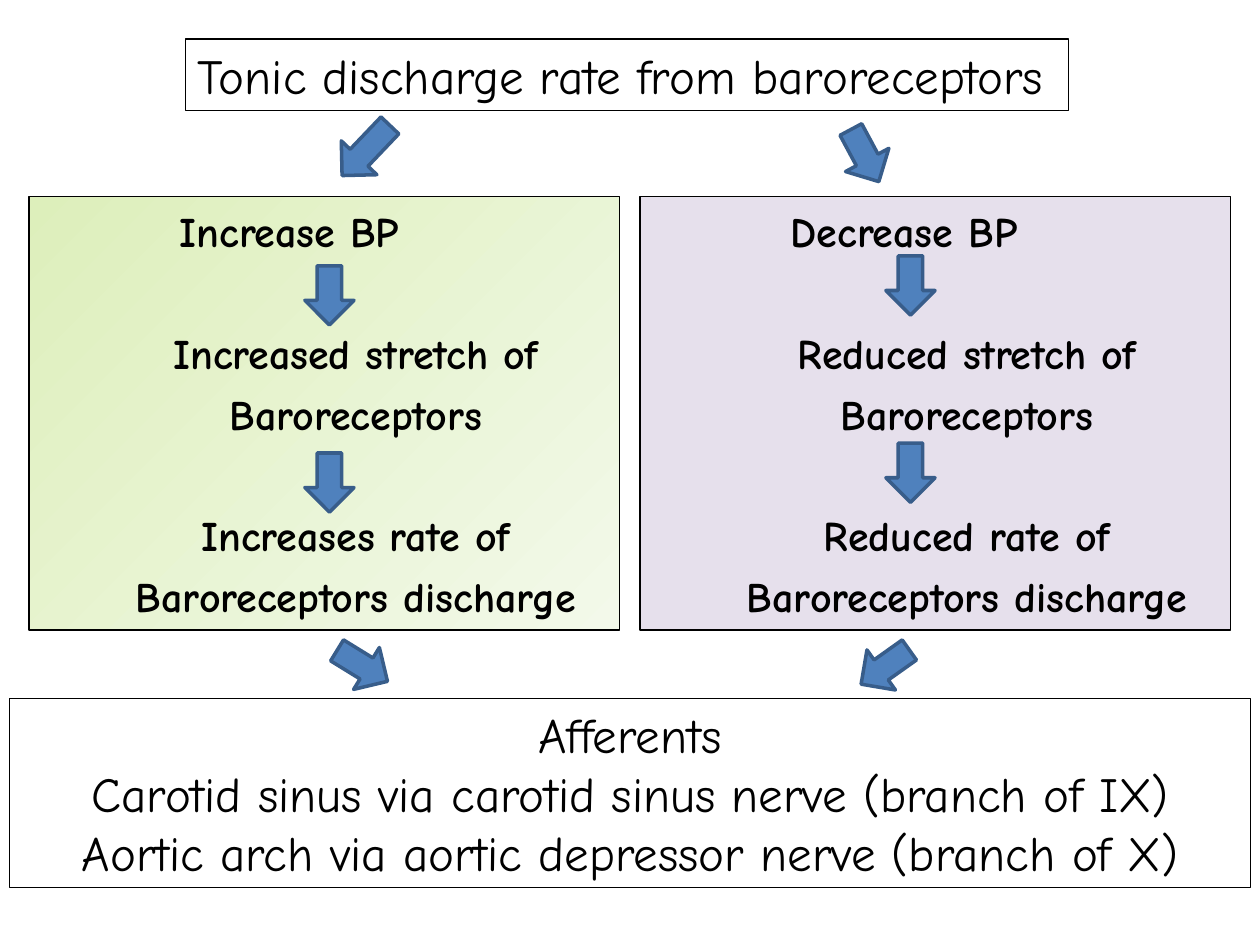
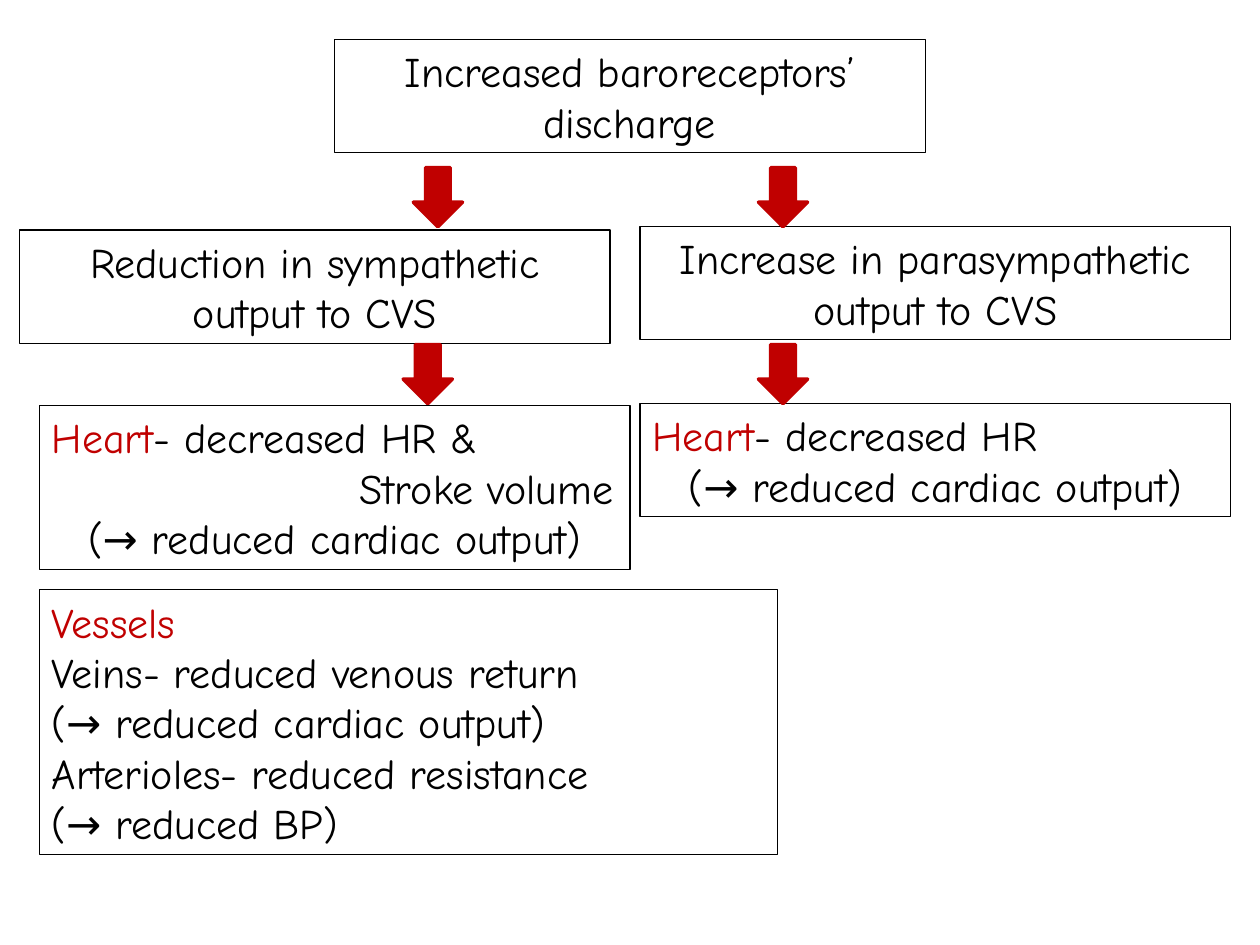
from dataclasses import dataclass

from pptx import Presentation
from pptx.dml.color import RGBColor
from pptx.enum.shapes import MSO_SHAPE
from pptx.enum.text import MSO_ANCHOR, MSO_AUTO_SIZE, PP_ALIGN
from pptx.util import Pt


@dataclass(frozen=True)
class Theme:
    """Colours, font, type sizes and repeated lengths in points."""
    font: str = "Comic Neue"
    large: float = 28
    normal: float = 24
    ink: str = "000000"
    white: str = "FFFFFF"
    red: str = "C00000"
    blue: str = "4F81BD"
    blue_edge: str = "385D8A"
    lilac: str = "E6E0EC"
    greens: tuple = ("DDEFBB", "F3F9EA")
    thin: float = 0.75
    thick: float = 2
    inset_x: float = 7.2
    inset_y: float = 3.6
    line_height: float = 1.2
    box_width: float = 337.5
    right_column: float = 365.8
    arrow_width: float = 28.1
    arrow_height: float = 33.8


THEME = Theme()
LEFT, CENTER = PP_ALIGN.LEFT, PP_ALIGN.CENTER


def set_values(target, values):
    """Set every attribute named in a dict of format values."""
    for name, value in values.items():
        setattr(target, name, value)


def place(shape, left, top, width, height):
    """Move and size a shape, in points."""
    set_values(shape, {"left": Pt(left), "top": Pt(top),
                       "width": Pt(width), "height": Pt(height)})


def paint(shape, fill, edge, thickness):
    """Fill a shape with one colour, a pair of gradient colours or nothing, and outline it."""
    if fill is None:
        shape.fill.background()
    elif isinstance(fill, tuple):
        shape.fill.gradient()
        shape.fill.gradient_angle = 315
        for stop, colour in zip(shape.fill.gradient_stops, fill):
            stop.color.rgb = RGBColor.from_string(colour)
    else:
        shape.fill.solid()
        shape.fill.fore_color.rgb = RGBColor.from_string(fill)
    shape.line.color.rgb = RGBColor.from_string(edge)
    shape.line.width = Pt(thickness)


def line(text, lead="", align=LEFT, indent=0, before=0):
    """Describe one paragraph; lead is its opening words in red."""
    return {"runs": [(lead, THEME.red), (text, THEME.ink)], "align": align,
            "indent": indent, "before": before}


def write(shape, lines, size, bold=False):
    """Write paragraphs into the text frame of a shape."""
    frame = shape.text_frame
    set_values(frame, {
        "word_wrap": True, "auto_size": MSO_AUTO_SIZE.NONE,
        "vertical_anchor": MSO_ANCHOR.MIDDLE,
        "margin_left": Pt(THEME.inset_x), "margin_right": Pt(THEME.inset_x),
        "margin_top": Pt(THEME.inset_y), "margin_bottom": Pt(THEME.inset_y)})
    for index, content in enumerate(lines):
        paragraph = frame.add_paragraph() if index else frame.paragraphs[0]
        set_values(paragraph, {"alignment": content["align"],
                               "space_before": Pt(content["before"])})
        properties = paragraph._p.get_or_add_pPr()
        properties.set("marL", str(Pt(content["indent"])))
        properties.set("indent", "0")
        for text, colour in content["runs"]:
            if text:
                run = paragraph.add_run()
                run.text = text
                set_values(run.font, {"name": THEME.font, "size": Pt(size), "bold": bold})
                run.font.color.rgb = RGBColor.from_string(colour)


def add_rectangle(slide):
    """Add a rectangle without a shadow."""
    rectangle = slide.shapes.add_shape(MSO_SHAPE.RECTANGLE, 0, 0, 0, 0)
    rectangle.shadow.inherit = False
    return rectangle


def fill_box(box, left, top, width, lines, size=THEME.normal, fill=None, rows=None):
    """Give a box its text, outline and the height of its rows of text."""
    height = (rows or len(lines)) * size * THEME.line_height + 2 * THEME.inset_y
    place(box, left, top, width, height)
    paint(box, fill, THEME.ink, THEME.thin)
    write(box, lines, size)


def add_arrow(slide, left, top, fill, edge, rotation=0, height=THEME.arrow_height):
    """Add a block arrow that points down before rotation."""
    arrow = slide.shapes.add_shape(MSO_SHAPE.DOWN_ARROW, 0, 0, 0, 0)
    arrow.shadow.inherit = False
    place(arrow, left, top, THEME.arrow_width, height)
    paint(arrow, fill, edge, THEME.thick)
    arrow.rotation = rotation


def add_panel(slide, left, fill, pressure, stretch, rate, arrow_left, arrow_top):
    """Add a panel with a chain of three steps and the two arrows between them."""
    panel = add_rectangle(slide)
    place(panel, left, 112.3, THEME.box_width, 247.7)
    paint(panel, fill, THEME.ink, THEME.thin)
    step, gap = {"align": CENTER, "indent": 36}, 40.8
    write(panel, [
        line(pressure, indent=79),
        line(stretch, before=gap, **step),
        line("Baroreceptors", before=6, **step),
        line(rate, before=gap, **step),
        line("Baroreceptors discharge", before=6, **step),
    ], THEME.normal, bold=True)
    for index in range(2):
        add_arrow(slide, arrow_left, arrow_top + 107 * index, THEME.blue, THEME.blue_edge)


def build_pressure_slide(slide):
    """Show how blood pressure changes the discharge of baroreceptors."""
    fill_box(slide.shapes.title, 105.9, 22.3, 504.7,
             [line("Tonic discharge rate from baroreceptors")],
             size=THEME.large, fill=THEME.white)
    add_panel(slide, 16.6, THEME.greens, "Increase BP", "Increased stretch of",
              "Increases rate of", 174.2, 151.9)
    add_panel(slide, THEME.right_column, THEME.lilac, "Decrease BP", "Reduced stretch of",
              "Reduced rate of", 506.2, 146.3)
    for left, top, rotation, height in [
            (195.1, 66.2, 43.6, 39.6), (480.2, 72, 331.8, THEME.arrow_height),
            (193, 363.6, 301.6, THEME.arrow_height), (491.8, 364.3, 54.6, THEME.arrow_height)]:
        add_arrow(slide, left, top, THEME.blue, THEME.blue_edge, rotation, height)
    afferents = ["Afferents", "Carotid sinus via carotid sinus nerve (branch of IX)",
                 "Aortic arch via aortic depressor nerve (branch of X)"]
    fill_box(add_rectangle(slide), 5.6, 399.3, 708.8,
             [line(text, align=CENTER) for text in afferents],
             size=THEME.large, fill=THEME.white)


def build_response_slide(slide):
    """Show what increased discharge does to the heart and the vessels."""
    fill_box(slide.shapes.title, 191.2, 22.5, THEME.box_width,
             [line("Increased baroreceptors’ discharge", align=CENTER)], rows=2)
    for left, top, output in [
            (11.2, 131.5, "Reduction in sympathetic output to CVS"),
            (THEME.right_column, 129.4, "Increase in parasympathetic output to CVS")]:
        fill_box(add_rectangle(slide), left, top, THEME.box_width,
                 [line(output, align=CENTER)], rows=2)
    cardiac_output = "(→ reduced cardiac output)"
    result = line(cardiac_output, align=CENTER)
    for left, top, width, lines in [
            (22.5, 231.8, THEME.box_width,
             [line("- decreased HR &", lead="Heart"),
              line("Stroke volume", indent=176), result]),
            (22.5, 337, 421.9,
             [line("", lead="Vessels"), line("Veins- reduced venous return"),
              line(cardiac_output), line("Arterioles- reduced resistance"),
              line("(→ reduced BP)")]),
            (THEME.right_column, 230.5, THEME.box_width,
             [line("- decreased HR", lead="Heart"), result])]:
        fill_box(add_rectangle(slide), left, top, width, lines)
    for left, top in [(236.2, 95.8), (433.4, 95.8), (230.4, 196.9), (433.4, 196.9)]:
        add_arrow(slide, left, top, THEME.red, THEME.red)


def main():
    """Build and save the presentation."""
    presentation = Presentation()
    set_values(presentation, {"slide_width": Pt(720), "slide_height": Pt(540)})
    title_only = presentation.slide_layouts[5]
    for build in (build_pressure_slide, build_response_slide):
        build(presentation.slides.add_slide(title_only))
    presentation.save("out.pptx")


if __name__ == "__main__":
    main()
